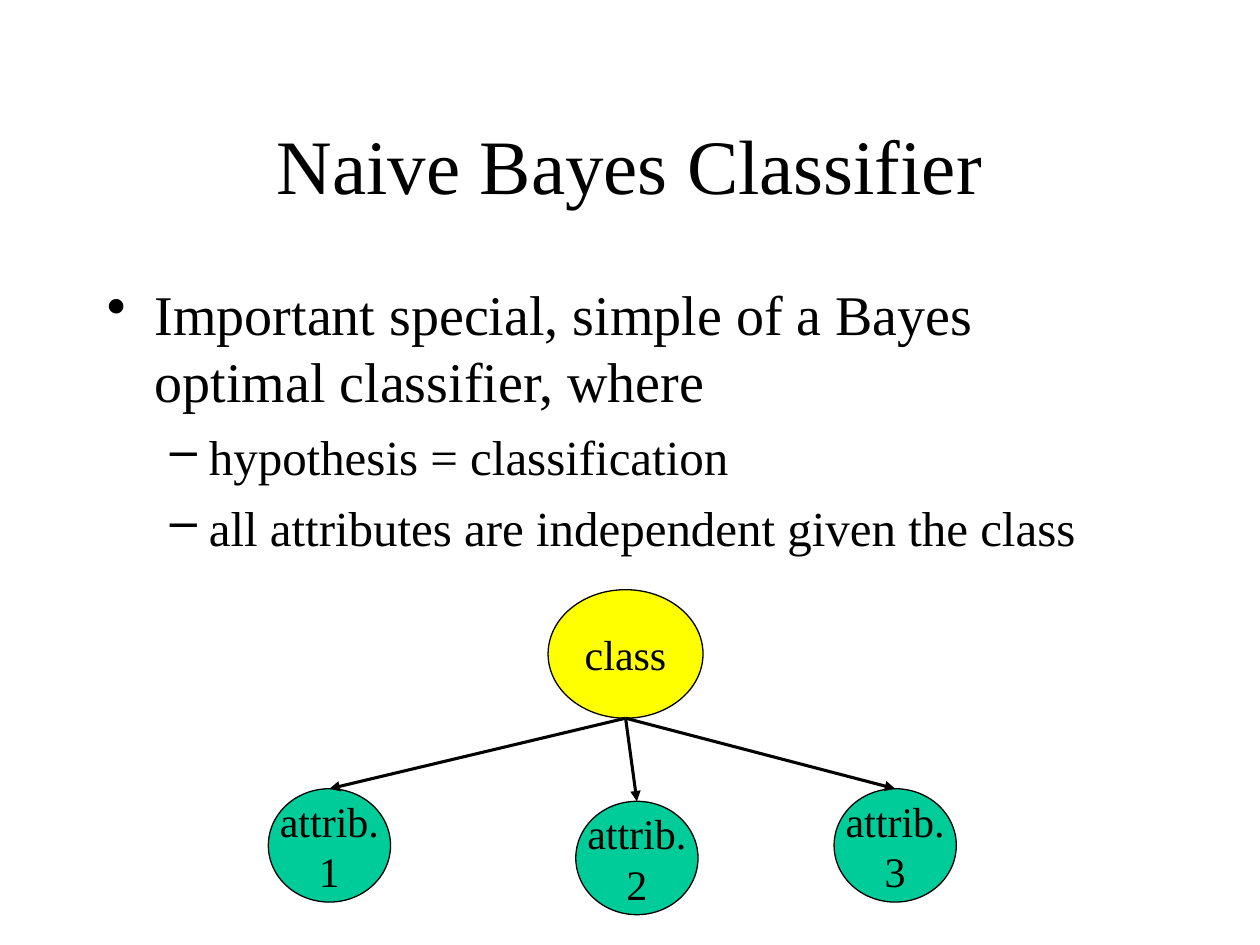
from dataclasses import dataclass

from lxml.etree import SubElement
from pptx import Presentation
from pptx.dml.color import RGBColor
from pptx.enum.shapes import MSO_CONNECTOR as Connector, MSO_SHAPE as Shape
from pptx.enum.text import MSO_ANCHOR as Anchor, PP_ALIGN as Align
from pptx.oxml.ns import qn
from pptx.util import Inches, Pt


@dataclass(frozen=True)
class Theme:
    font: str = "Times New Roman"
    ink: RGBColor = RGBColor(0, 0, 0)
    class_fill: RGBColor = RGBColor(0xFF, 0xFF, 0)
    attribute_fill: RGBColor = RGBColor(0, 0xCC, 0x99)
    title_size: int = 44
    node_size: int = 24
    outline: float = 0.75
    arrow: float = 1.75


THEME = Theme()
TITLE = "Naive Bayes Classifier"
BODY = [
    (0, "Important special, simple of a Bayes optimal classifier, where"),
    (1, "hypothesis = classification"),
    (1, "all attributes are independent given the class"),
]
LEVELS = [
    {"bullet": "•", "size": 32, "margin": 0.38, "indent": -0.38, "before": 8},
    {"bullet": "–", "size": 28, "margin": 0.81, "indent": -0.31, "before": 7},
]
CLASS_NODE = ("class", 4.35, 4.68)
CLASS_SIZE = (1.23, 1.02)
ATTRIBUTE_NODES = [
    ("attrib.\n1", 2.13, 6.26),
    ("attrib.\n2", 4.57, 6.36),
    ("attrib.\n3", 6.62, 6.26),
]
ATTRIBUTE_SIZE = (0.97, 0.9)


def style_text(paragraph, size):
    paragraph.font.name = THEME.font
    paragraph.font.size = Pt(size)
    paragraph.font.color.rgb = THEME.ink


def add_text_box(slide, top, height, text):
    box = slide.shapes.add_textbox(Inches(0.75), Inches(top), Inches(8.5), Inches(height))
    box.text_frame.word_wrap = True
    box.text_frame.text = text
    return box.text_frame


def add_title(slide):
    text_frame = add_text_box(slide, 0.67, 1.25, TITLE)
    text_frame.vertical_anchor = Anchor.MIDDLE
    text_frame.paragraphs[0].alignment = Align.CENTER
    style_text(text_frame.paragraphs[0], THEME.title_size)


def add_body(slide):
    text_frame = add_text_box(slide, 2.17, 4.5, "\n".join(text for _, text in BODY))
    for index, (paragraph, (level, _)) in enumerate(zip(text_frame.paragraphs, BODY)):
        style = LEVELS[level]
        paragraph.level = level
        paragraph.space_before = Pt(style["before"] if index else 0)
        properties = paragraph._p.get_or_add_pPr()
        properties.set("marL", str(Inches(style["margin"])))
        properties.set("indent", str(Inches(style["indent"])))
        SubElement(properties, qn("a:buChar"), char=style["bullet"])
        style_text(paragraph, style["size"])


def add_node(slide, node, size, fill):
    text, left, top = node
    shape = slide.shapes.add_shape(Shape.OVAL, *map(Inches, (left, top, *size)))
    shape.shadow.inherit = False
    shape.fill.solid()
    shape.fill.fore_color.rgb = fill
    shape.line.color.rgb = THEME.ink
    shape.line.width = Pt(THEME.outline)
    shape.text_frame.word_wrap = False
    shape.text_frame.vertical_anchor = Anchor.MIDDLE
    shape.text_frame.text = text
    for paragraph in shape.text_frame.paragraphs:
        paragraph.alignment = Align.CENTER
        style_text(paragraph, THEME.node_size)
    return shape


def add_arrow(slide, parent, child):
    start = (parent.left + parent.width // 2, parent.top + parent.height)
    arrow = slide.shapes.add_connector(Connector.STRAIGHT, *start, child.left, child.top)
    arrow.end_connect(child, 0)
    arrow.line.color.rgb = THEME.ink
    arrow.line.width = Pt(THEME.arrow)
    SubElement(arrow.line._get_or_add_ln(), qn("a:tailEnd"), type="triangle")
    SubElement(arrow._element.spPr, qn("a:effectLst"))


def main():
    """Build the Naive Bayes classifier slide."""
    presentation = Presentation()
    presentation.slide_width, presentation.slide_height = Inches(10), Inches(7.5)
    slide = presentation.slides.add_slide(presentation.slide_layouts[6])
    add_title(slide)
    add_body(slide)
    class_node = add_node(slide, CLASS_NODE, CLASS_SIZE, THEME.class_fill)
    for node in ATTRIBUTE_NODES:
        attribute = add_node(slide, node, ATTRIBUTE_SIZE, THEME.attribute_fill)
        add_arrow(slide, class_node, attribute)
    presentation.save("out.pptx")


if __name__ == "__main__":
    main()
